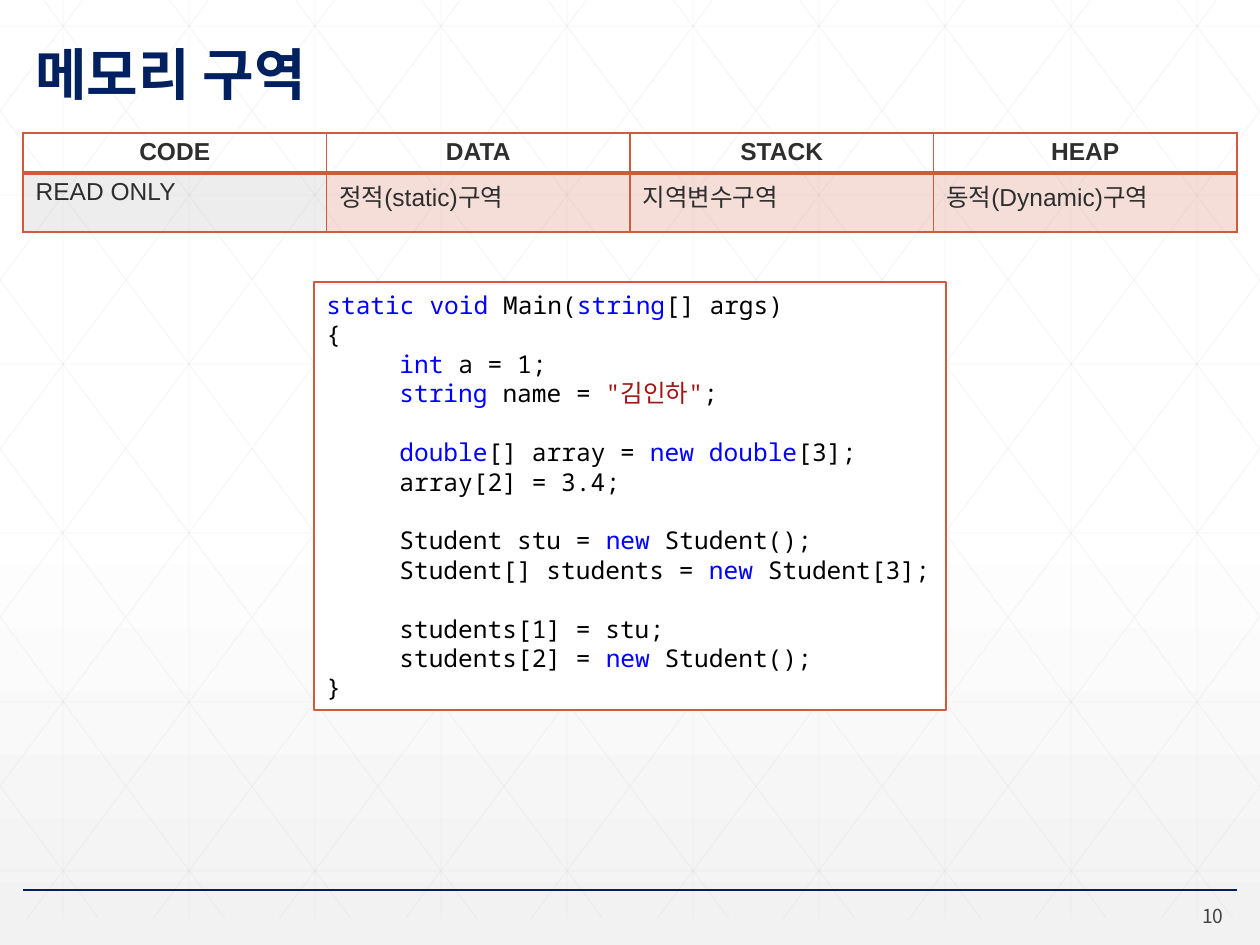
from lxml import etree
from pptx import Presentation
from pptx.dml.color import RGBColor
from pptx.enum.shapes import MSO_CONNECTOR, MSO_SHAPE
from pptx.enum.text import MSO_ANCHOR, PP_ALIGN
from pptx.oxml import parse_xml
from pptx.oxml.ns import nsdecls, qn
from pptx.util import Pt

STRAIGHT, RECT = MSO_CONNECTOR.STRAIGHT, MSO_SHAPE.RECTANGLE
TOP, MIDDLE, BOTTOM = MSO_ANCHOR.TOP, MSO_ANCHOR.MIDDLE, MSO_ANCHOR.BOTTOM
LEFT, CENTER, RIGHT = PP_ALIGN.LEFT, PP_ALIGN.CENTER, PP_ALIGN.RIGHT
PX = 914400 // 126
KOREAN = "Noto Sans CJK KR"
COLORS = {
    "white": "FFFFFF", "shade": "F2F2F2", "grid": "D9D9D9", "navy": "002060",
    "accent": "D15A3E", "gray": "A6A6A6", "body": "2D2E2D", "number": "424342",
    "code": "000000", "keyword": "0000FF", "string": "A31515",
}


def style(paragraph, size, color, latin, bold=False, align=LEFT):
    font = paragraph.font
    font.size, font.bold, font.name = Pt(size), bold, latin
    if color:
        font.color.rgb = RGBColor.from_string(COLORS[color])
    east_asian = parse_xml(f'<a:ea {nsdecls("a")} typeface="{KOREAN}"/>')
    font._element.find(qn("a:latin")).addnext(east_asian)
    paragraph.alignment = align


def add_line(x1, y1, x2, y2, color, width, alpha=100):
    line = slide.shapes.add_connector(STRAIGHT, x1 * PX, y1 * PX, x2 * PX, y2 * PX)
    line.line.color.rgb = RGBColor.from_string(COLORS[color])
    line.line.width = Pt(width)
    properties = line._element.spPr
    if alpha < 100:
        rgb = properties.find(".//" + qn("a:srgbClr"))
        etree.SubElement(rgb, qn("a:alpha")).set("val", str(alpha * 1000))
    etree.SubElement(properties, qn("a:effectLst"))


prs = Presentation()
prs.slide_width, prs.slide_height = 1260 * PX, 945 * PX
slide = prs.slides.add_slide(prs.slide_layouts[6])

# Background gradient
background = slide.background.fill
background.gradient()
background.gradient_angle = 270
for stop, color, position in zip(background.gradient_stops, ("white", "shade"), (0.53, 1)):
    stop.color.rgb = RGBColor.from_string(COLORS[color])
    stop.position = position

# Background grid: verticals, horizontals and mirrored diagonals cut at the sides
GRID_TOP, GRID_BOTTOM, RUN = -26, 919, 705
RISE = GRID_BOTTOM - GRID_TOP
for column in range(10):
    x = 63 + 126 * column
    add_line(x, GRID_TOP, x, GRID_BOTTOM, "grid", 0.5, 25)
for row in range(6):
    y = 26 + 169 * row
    add_line(0, y, 1260, y, "grid", 0.5, 25)
for step in range(-5, 10):
    start = 24 + 126 * step
    x1, x2 = max(start, 0), min(start + RUN, 1260)
    y1, y2 = (GRID_TOP + round((x - start) * RISE / RUN) for x in (x1, x2))
    add_line(x1, y1, x2, y2, "grid", 0.5, 25)
    add_line(1260 - x1, y1, 1260 - x2, y2, "grid", 0.5, 25)

# Footer rule
add_line(23, 890, 1237, 890, "navy", 1)

# Title and page number
for text, box, anchor, size, color, bold, align in (
    ("메모리 구역", (23, 26, 1213, 88), BOTTOM, 32, "navy", True, LEFT),
    ("10", (1142, 901, 94, 30), MIDDLE, 11, "number", False, RIGHT),
):
    frame = slide.shapes.add_textbox(*(n * PX for n in box)).text_frame
    frame.word_wrap = True
    frame.vertical_anchor = anchor
    frame.text = text
    style(frame.paragraphs[0], size, color, KOREAN, bold, align)
    if bold:
        frame.paragraphs[0].line_spacing = 0.9

# Memory areas table
areas = (
    ("CODE", "READ ONLY", "gray"),
    ("DATA", "정적(static)구역", "accent"),
    ("STACK", "지역변수구역", "accent"),
    ("HEAP", "동적(Dynamic)구역", "accent"),
)
table = slide.shapes.add_table(2, 4, 23 * PX, 133 * PX, 1214 * PX, 99 * PX).table
table.rows[0].height, table.rows[1].height = 40 * PX, 59 * PX
for column, (heading, description, tint) in enumerate(areas):
    for row, text in enumerate((heading, description)):
        cell = table.cell(row, column)
        cell.text = text
        cell.margin_top = cell.margin_bottom = 5 * PX
        cell.vertical_anchor = TOP
        style(cell.text_frame.paragraphs[0], 14, "body", "Arial", row == 0,
              CENTER if row == 0 else LEFT)
        properties = cell._tc.get_or_add_tcPr()
        if row == 0:
            cell.fill.background()
        else:
            cell.fill.solid()
            cell.fill.fore_color.rgb = RGBColor.from_string(COLORS[tint])
            rgb = properties.find(".//" + qn("a:srgbClr"))
            etree.SubElement(rgb, qn("a:alpha")).set("val", "20000")
        for index, side in enumerate("LRTB"):
            divider = (row, side) in ((0, "B"), (1, "T"))
            properties.insert(index, parse_xml(
                f'<a:ln{side} {nsdecls("a")} w="{Pt(2 if divider else 1)}"><a:solidFill>'
                f'<a:srgbClr val="{COLORS["accent"]}"/></a:solidFill></a:ln{side}>'))

# Code listing: (indent level, blank line above, text with coloured parts between bars)
code_lines = (
    (0, False, "|static| |void| Main(|string|[] args)"),
    (0, False, "{"),
    (1, False, "|int| a = 1;"),
    (1, False, '|string| name = |"김인하"|;'),
    (1, True, "|double|[] array = |new| |double|[3];"),
    (1, False, "array[2] = 3.4;"),
    (1, True, "Student stu = |new| Student();"),
    (1, False, "Student[] students = |new| Student[3];"),
    (1, True, "students[1] = stu;"),
    (1, False, "students[2] = |new| Student();"),
    (0, False, "}"),
)
code_box = slide.shapes.add_shape(RECT, 314 * PX, 282 * PX, 632 * PX, 428 * PX)
code_box.shadow.inherit = False
code_box.fill.solid()
code_box.fill.fore_color.rgb = RGBColor.from_string(COLORS["white"])
code_box.line.color.rgb = RGBColor.from_string(COLORS["accent"])
code_box.line.width = Pt(0.75)
frame = code_box.text_frame
frame.word_wrap = False
frame.vertical_anchor = MIDDLE
for number, (indent, blank_above, text) in enumerate(code_lines):
    paragraph = frame.paragraphs[0] if number == 0 else frame.add_paragraph()
    style(paragraph, 14, None, "Noto Sans Mono")
    paragraph.line_spacing = Pt(16.8)
    if blank_above:
        paragraph.space_before = Pt(16.8)
    paragraph._p.get_or_add_pPr().set("marL", str(indent * 73 * PX))
    for part, segment in enumerate(text.split("|")):
        if segment:
            run = paragraph.add_run()
            run.text = segment
            marked = "string" if segment.startswith('"') else "keyword"
            color = marked if part % 2 else "code"
            run.font.color.rgb = RGBColor.from_string(COLORS[color])

prs.save("out.pptx")
